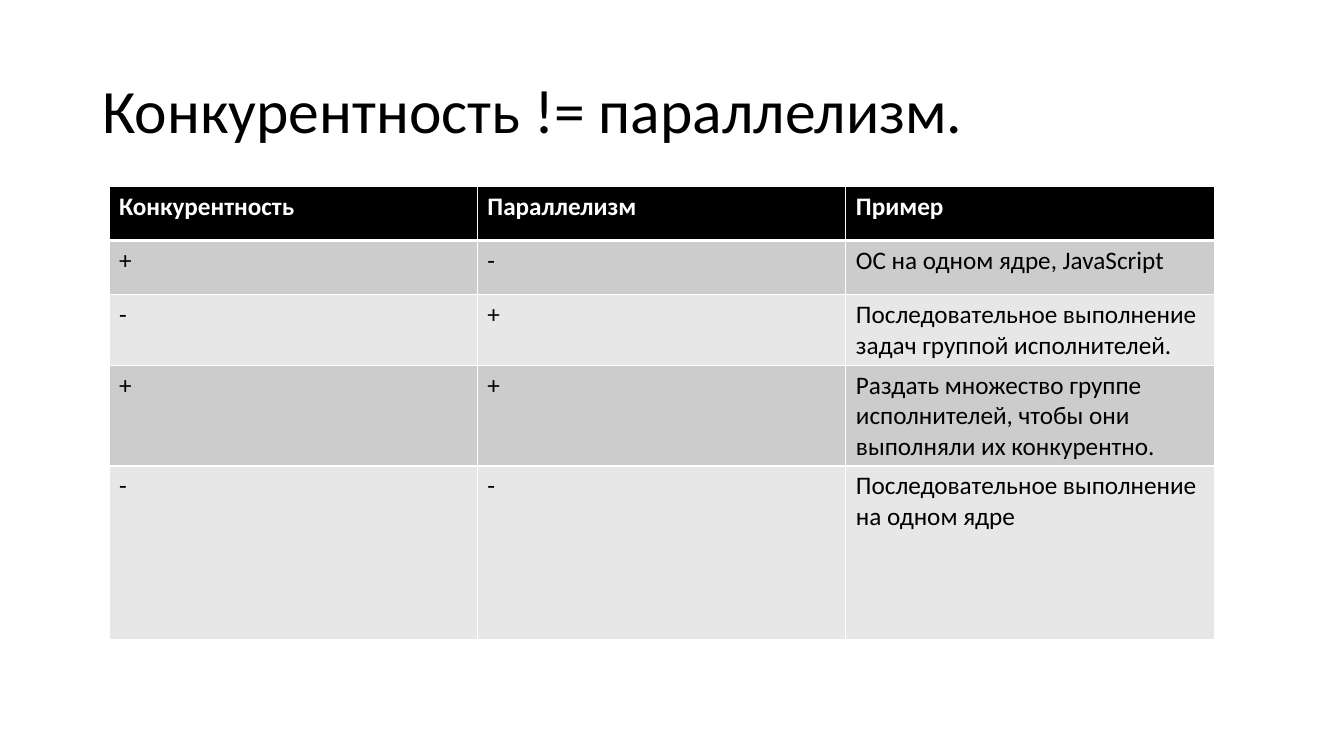
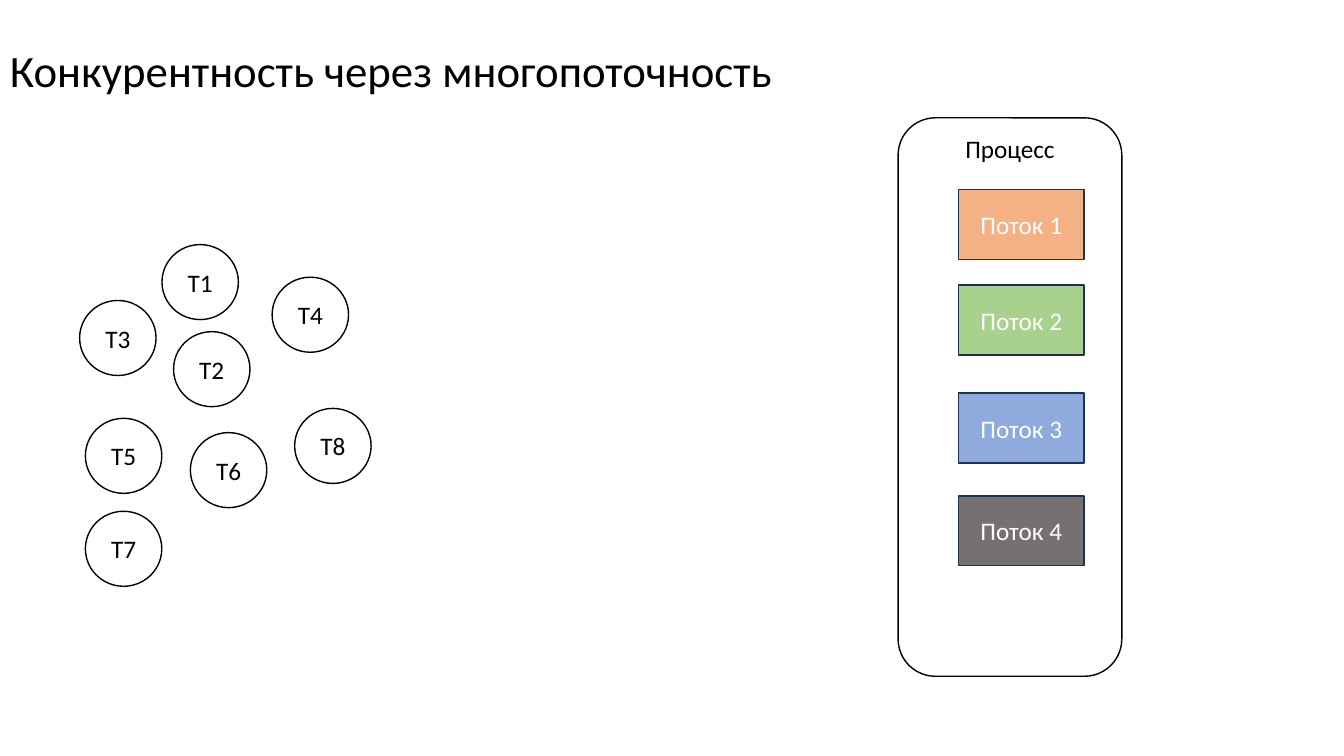
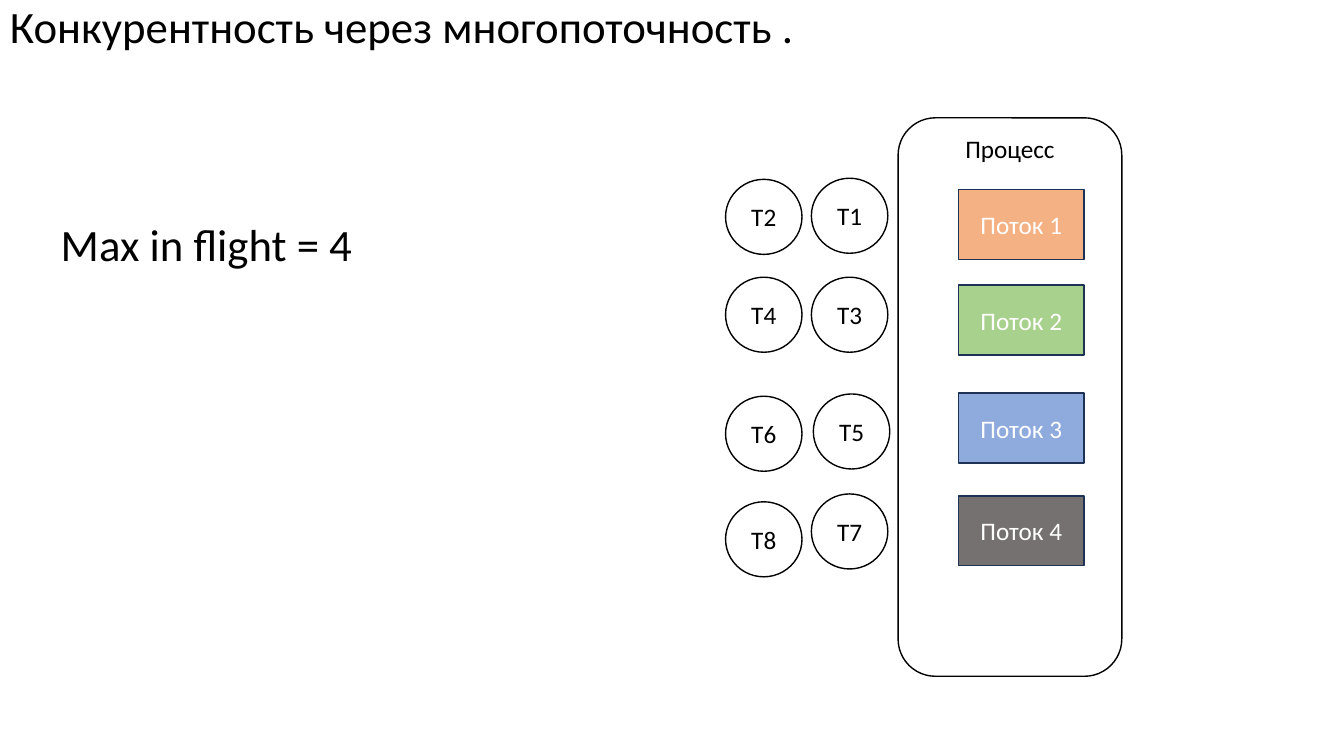
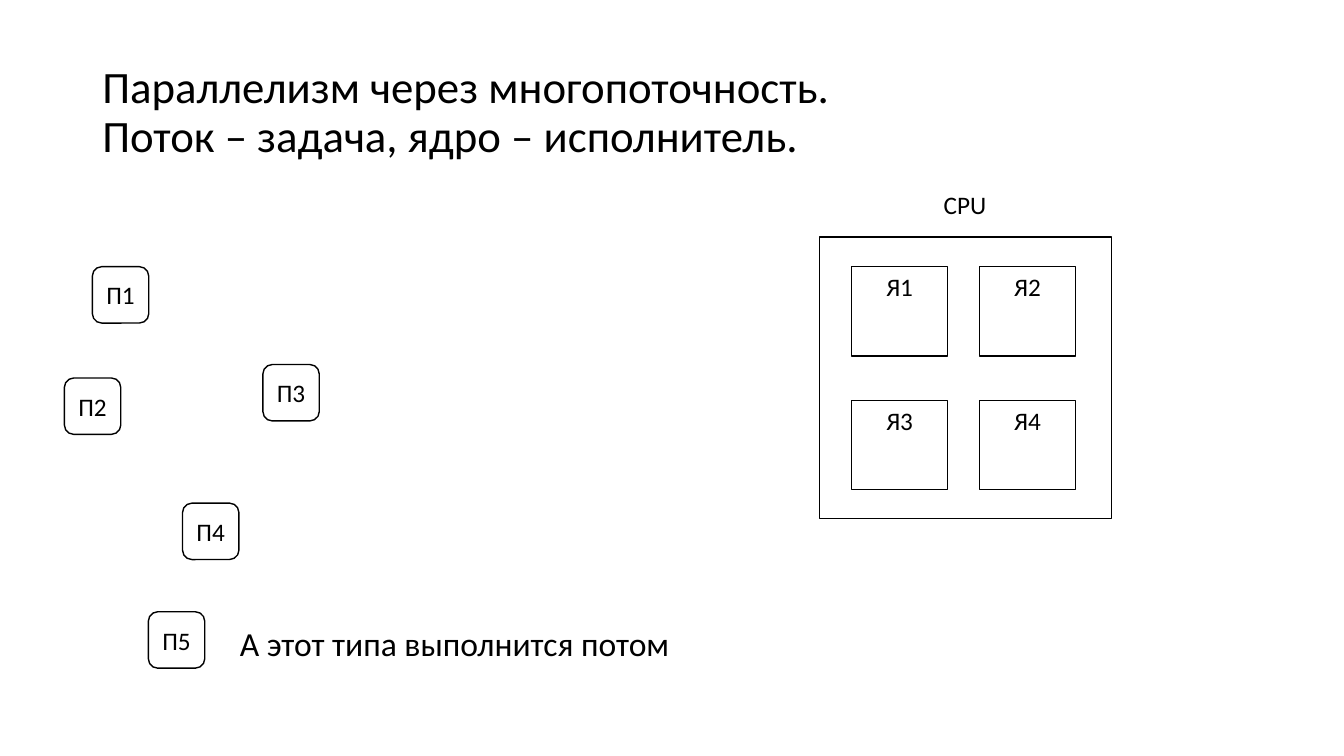
from lxml.etree import SubElement
from pptx import Presentation
from pptx.dml.color import RGBColor
from pptx.enum.shapes import MSO_SHAPE
from pptx.enum.text import MSO_ANCHOR, PP_ALIGN
from pptx.oxml.ns import qn
from pptx.util import Pt

FONT = "Calibri"
BLACK, WHITE, NAVY = "000000", "FFFFFF", "1E3256"
BANDS = ("CCCCCC", "E7E7E7")
THREADS = [("F4B183", 51.1), ("A9D18E", 119.5), ("8FAADC", 196.6), ("767171", 270)]
PROCESS_BOX = (641.5, 84.2, 159.8, 398.9)
TITLE_BOX = (66, 28.75, 828, 104.4)
CORNER_BOX = (0, 0, 828, 104.4)


def rgb(hex_color):
    """Turn a hex string into a colour."""
    return RGBColor.from_string(hex_color)


def style(p, size, color=BLACK, bold=False, align=None):
    """Set the font and alignment of a paragraph."""
    p.font.name, p.font.size, p.font.bold = FONT, Pt(size), bold
    p.font.color.rgb = rgb(color)
    p.alignment = align


def add_text(s, text, box, size, wrap=False, anchor=MSO_ANCHOR.TOP):
    """Add a text box and return its paragraph."""
    tf = s.shapes.add_textbox(*map(Pt, box)).text_frame
    tf.word_wrap, tf.vertical_anchor = wrap, anchor
    p = tf.paragraphs[0]
    p.text = text
    style(p, size)
    return p


def add_title(s, text, box=TITLE_BOX, size=32, anchor=MSO_ANCHOR.MIDDLE):
    """Add the slide title."""
    add_text(s, text, box, size, True, anchor).line_spacing = 0.9


def add_box(s, kind, box, text="", fill=WHITE, line=BLACK, color=BLACK,
            anchor=MSO_ANCHOR.MIDDLE):
    """Add an outlined shape with a centred label."""
    sp = s.shapes.add_shape(kind, *map(Pt, box))
    sp.shadow.inherit = False
    if fill:
        sp.fill.solid()
        sp.fill.fore_color.rgb = rgb(fill)
    else:
        sp.fill.background()
    sp.line.color.rgb, sp.line.width = rgb(line), Pt(1)
    if text:
        tf = sp.text_frame
        tf.word_wrap, tf.vertical_anchor = True, anchor
        p = tf.paragraphs[0]
        p.text = text
        style(p, 18, color, align=PP_ALIGN.CENTER)


def add_tasks(s, kind, prefix, places, w, h):
    """Add numbered task shapes of one size at the given places."""
    for i, (x, y) in enumerate(places, 1):
        add_box(s, kind, (x, y, w, h), f"{prefix}{i}")


def add_process(s, box):
    """Draw the process with its four threads."""
    x, y = box[:2]
    add_box(s, MSO_SHAPE.ROUNDED_RECTANGLE, box, "Процесс", anchor=MSO_ANCHOR.TOP)
    for i, (fill, dy) in enumerate(THREADS, 1):
        add_box(s, MSO_SHAPE.RECTANGLE, (x + 43.2, y + dy, 89.6, 50), f"Поток {i}",
                fill, NAVY, WHITE)


def add_cpu(s, box):
    """Draw the CPU with its two by two cores and label."""
    x, y = box[:2]
    for i in range(4):
        row, col = divmod(i, 2)
        core = (x + 23 + 91.4 * col, y + 21.4 + 95.3 * row, 68.4, 63.6)
        add_box(s, MSO_SHAPE.RECTANGLE, core, f"Я{i + 1}", anchor=MSO_ANCHOR.TOP)
    add_box(s, MSO_SHAPE.RECTANGLE, box, fill=None)
    add_text(s, "CPU", (x + 81.6, y - 37.2, 45.4, 28.8), 18)


def add_borders(cell, widths):
    """Give a cell white borders: left, right, top, bottom."""
    tc_pr = cell._tc.get_or_add_tcPr()
    for side, width in zip("LRTB", widths):
        ln = SubElement(tc_pr, qn(f"a:ln{side}"), w=str(Pt(width)))
        SubElement(SubElement(ln, qn("a:solidFill")), qn("a:srgbClr"), val=WHITE)


def add_grid(s, rows, box, heights):
    """Add a table with a black header and grey bands."""
    table = s.shapes.add_table(len(rows), len(rows[0]), *map(Pt, box)).table
    for col in table.columns:
        col.width = Pt(box[2] / len(rows[0]))
    for i, (row, height) in enumerate(zip(rows, heights)):
        table.rows[i].height = Pt(height)
        head = i == 0
        for j, text in enumerate(row):
            cell = table.cell(i, j)
            add_borders(cell, (1, 1, 3 if i == 1 else 1, 3 if head else 1))
            cell.fill.solid()
            cell.fill.fore_color.rgb = rgb(BLACK if head else BANDS[(i - 1) % 2])
            p = cell.text_frame.paragraphs[0]
            p.text = text
            style(p, 18, WHITE if head else BLACK, head)


def comparison_slide(s):
    """Compare concurrency with parallelism."""
    add_title(s, "Конкурентность != параллелизм.", size=44)
    rows = [
        ("Конкурентность", "Параллелизм", "Пример"),
        ("+", "-", "ОС на одном ядре, JavaScript"),
        ("-", "+", "Последовательное выполнение задач группой исполнителей."),
        ("+", "+", "Раздать множество группе исполнителей, чтобы они "
                   "выполняли их конкурентно."),
        ("-", "-", "Последовательное выполнение на одном ядре"),
    ]
    add_grid(s, rows, (77.8, 133.2, 789.6, 324), [38.6] * 4 + [124])


def waiting_slide(s):
    """Show tasks scattered before the process."""
    add_title(s, "Конкурентность через многопоточность", CORNER_BOX)
    add_process(s, PROCESS_BOX)
    places = [(115.7, 174.7), (124, 236.9), (56.9, 214.6), (194.4, 198),
              (61, 298.8), (136, 309), (61, 365.2), (210.5, 291.7)]
    add_tasks(s, MSO_SHAPE.OVAL, "T", places, 54.6, 53.6)


def queued_slide(s):
    """Show tasks queued in pairs at the threads."""
    add_title(s, "Конкурентность через многопоточность .", CORNER_BOX,
              anchor=MSO_ANCHOR.TOP)
    add_process(s, PROCESS_BOX)
    places = [(579.6, 127.3), (518.3, 128.1), (579.6, 198), (518.3, 198),
              (581, 281.4), (518.3, 283), (579.6, 352.8), (518.3, 358.4)]
    add_tasks(s, MSO_SHAPE.OVAL, "T", places, 54.6, 53.6)
    add_text(s, "Max in flight = 4", (36.3, 151.2, 225.4, 46), 32)


def cores_slide(s):
    """Show threads as tasks and cores as executors."""
    add_title(s, "Параллелизм через многопоточность.\nПоток – задача, ядро – исполнитель.")
    add_cpu(s, (585.4, 169.2, 208.4, 201.4))
    places = [(66, 190.5), (46, 270), (187.8, 260.4), (130.4, 359.4), (106, 437)]
    add_tasks(s, MSO_SHAPE.ROUNDED_RECTANGLE, "П", places, 40.3, 40.3)
    add_text(s, "А этот типа выполнится потом", (164.2, 441.5, 324, 36.4), 24)


def main():
    """Build and save the presentation."""
    prs = Presentation()
    prs.slide_width, prs.slide_height = Pt(960), Pt(540)
    for build in (comparison_slide, waiting_slide, queued_slide, cores_slide):
        build(prs.slides.add_slide(prs.slide_layouts[6]))
    prs.save("out.pptx")


if __name__ == "__main__":
    main()
